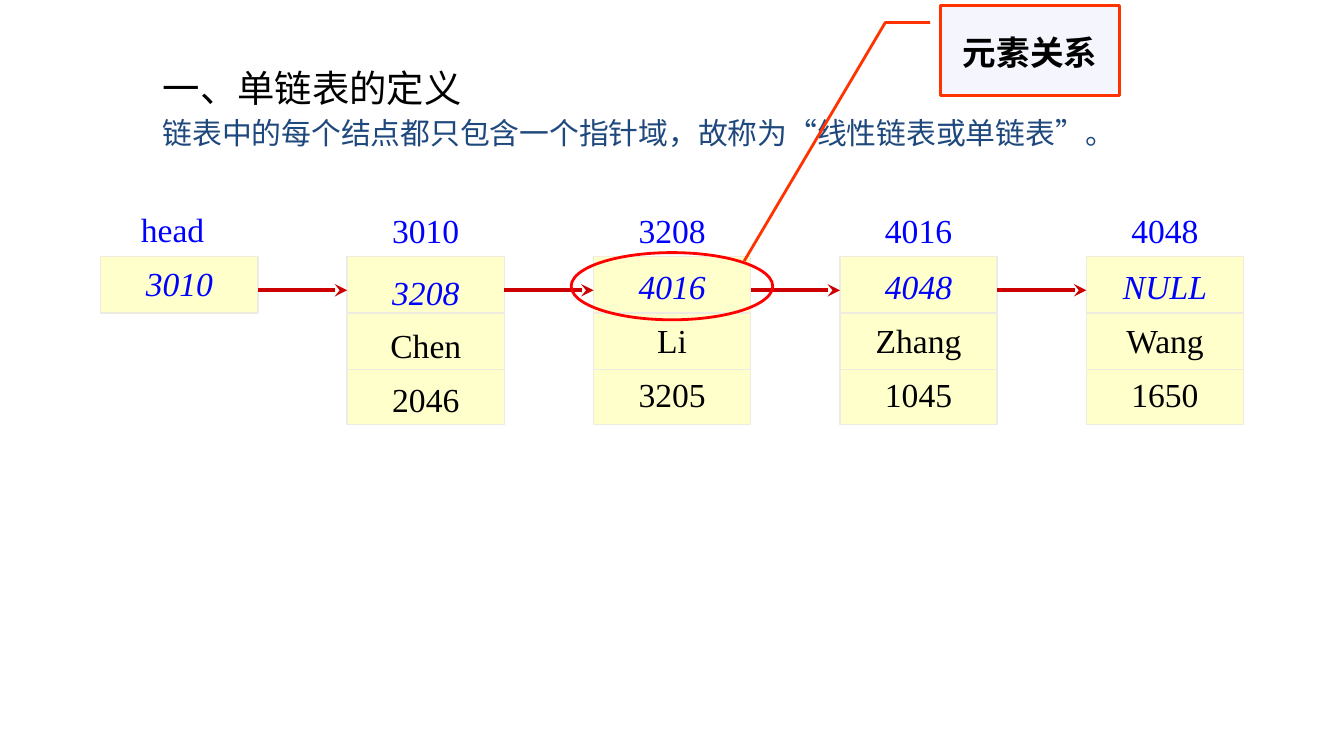
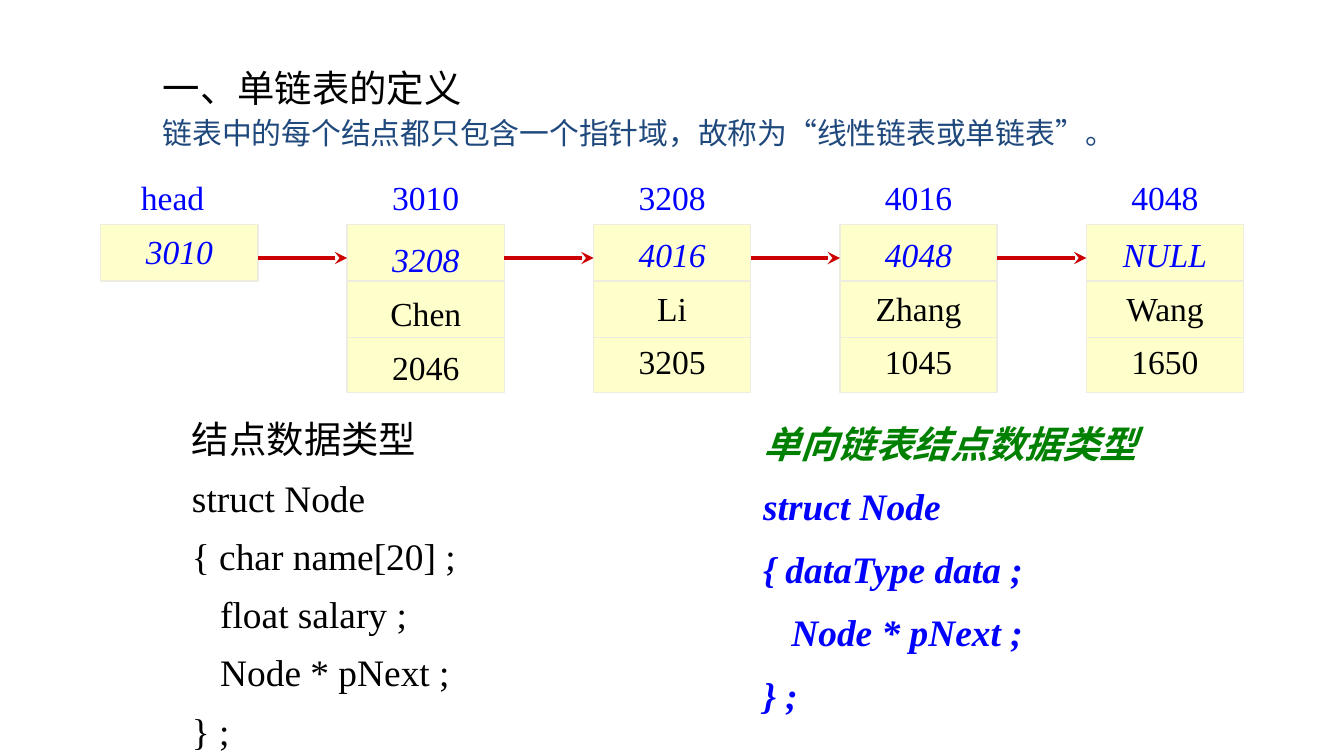
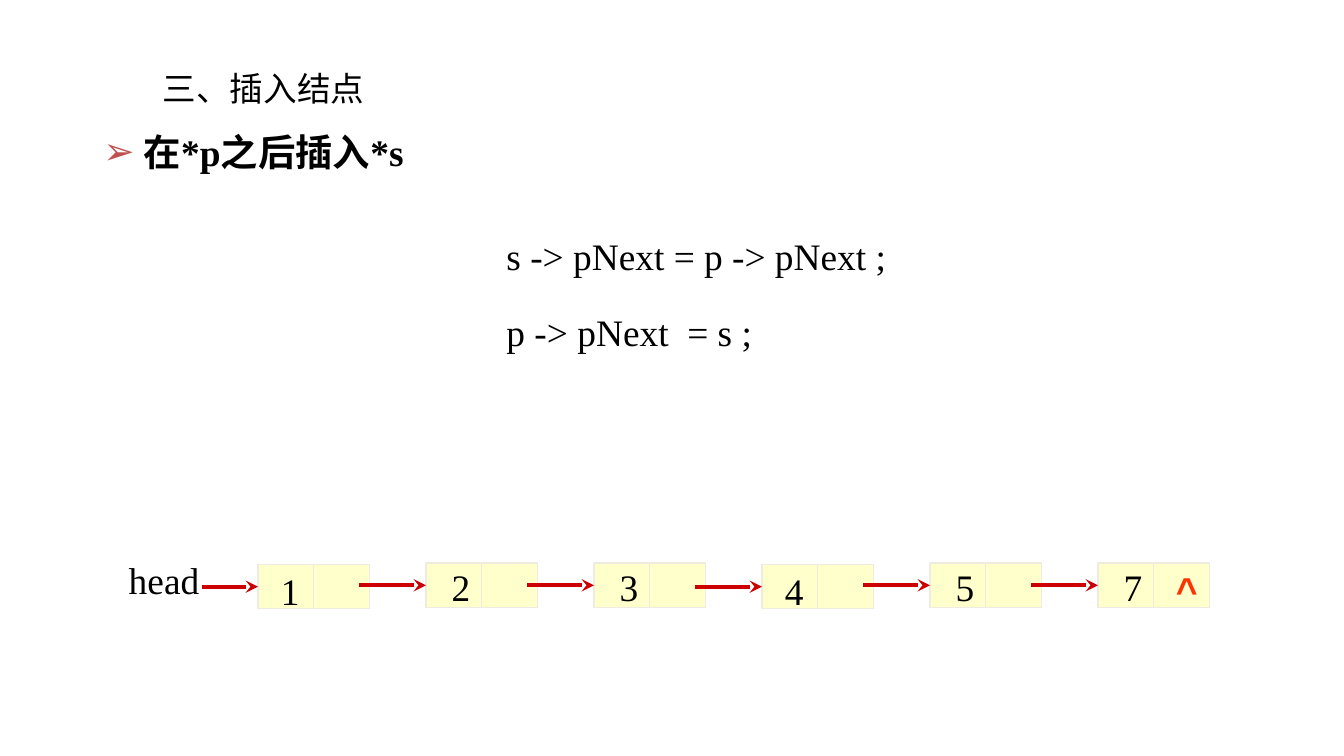
"""Build three slides that explain the singly linked list."""
from dataclasses import dataclass

from lxml.etree import SubElement
from pptx import Presentation
from pptx.dml.color import RGBColor
from pptx.enum.lang import MSO_LANGUAGE_ID
from pptx.enum.shapes import MSO_CONNECTOR, MSO_SHAPE
from pptx.enum.text import MSO_ANCHOR, MSO_AUTO_SIZE, PP_ALIGN
from pptx.oxml.ns import qn
from pptx.util import Inches, Pt


@dataclass(frozen=True)
class Theme:
    """Colours, fonts and type sizes of the deck."""
    text: str = "000000"
    subtitle: str = "1F497D"
    pointer: str = "0000FF"
    cell: str = "FFFFCC"
    border: str = "EEECE1"
    arrow: str = "CC0000"
    ring: str = "FF0000"
    callout: str = "FF3300"
    callout_fill: str = "F5F6FD"
    bullet: str = "C0504D"
    generic: str = "008000"
    heading_font: str = "Calibri"
    body_font: str = "Times New Roman"
    symbol_font: str = "Arial"
    large: int = 20
    medium: int = 18
    small: int = 16


THEME = Theme()
CENTER = PP_ALIGN.CENTER
MIDDLE = MSO_ANCHOR.MIDDLE
HEADING = "一、单链表的定义"
SUBTITLE = "链表中的每个结点都只包含一个指针域，故称为“线性链表或单链表”。"

NODES = [
    ("3010", ["3208", "Chen", "2046"], 0.04),
    ("3208", ["4016", "Li", "3205"], 0),
    ("4016", ["4048", "Zhang", "1045"], 0),
    ("4048", ["NULL", "Wang", "1650"], 0),
]
NODE_LEFT, NODE_PITCH = 0.75, 11 / 6
NODE_WIDTH, ROW_HEIGHT = 1.17, 0.42
BOX_WIDTH, BOX_HEIGHT = 0.83, 0.33

NODE_CODE = [
    "结点数据类型", "struct Node", "{ char name[20] ;",
    ("float salary ;", {"margin": 0.21}),
    ("Node * pNext ;", {"margin": 0.21}), "} ;",
]
GENERIC_CODE = [
    ("单向链表结点数据类型", {"color": THEME.generic}),
    "struct Node", "{ dataType data ;",
    ("Node * pNext ;", {"margin": 0.21}), "} ;",
]


def rgb(color):
    """Turn a hex string into a colour."""
    return RGBColor.from_string(color)


def write_paragraph(p, text, size=THEME.large, font=THEME.body_font, color=THEME.text,
                    bold=False, italic=False, align=PP_ALIGN.LEFT, spacing=None,
                    before=None, margin=None, indent=0, bullet=None):
    """Write text into a paragraph with the given format."""
    p.alignment = align
    if spacing:
        p.line_spacing = spacing
    if before is not None:
        p.space_before = Pt(before)
    pPr = p._p.get_or_add_pPr()
    if margin is not None:
        pPr.set("marL", str(Inches(margin)))
        pPr.set("indent", str(Inches(indent)))
    if bullet:
        clr = SubElement(pPr, qn("a:buClr"))
        SubElement(clr, qn("a:srgbClr"), val=THEME.bullet)
        SubElement(pPr, qn("a:buFont"), typeface=THEME.symbol_font)
        SubElement(pPr, qn("a:buChar"), char=bullet)
    elif bullet == "":
        SubElement(pPr, qn("a:buNone"))
    r = p.add_run()
    r.text = text
    f = r.font
    f.size, f.name, f.bold, f.italic = Pt(size), font, bold, italic
    f.color.rgb = rgb(color)
    f.language_id = MSO_LANGUAGE_ID.SIMPLIFIED_CHINESE


class Deck:
    """Hold the presentation, its theme and the current slide."""

    def __init__(self, theme):
        """Open a widescreen presentation."""
        self.theme = theme
        self.prs = Presentation()
        self.prs.slide_width, self.prs.slide_height = Inches(10), Inches(10 * 9 / 16)
        self.slide = None

    def add_slide(self):
        """Start a slide that has a title and a body."""
        self.slide = self.prs.slides.add_slide(self.prs.slide_layouts[1])

    def fill_frame(self, tf, lines, anchor=MSO_ANCHOR.TOP, wrap=True, **fmt):
        """Fill a text frame with lines that share a format."""
        tf.word_wrap = wrap
        tf.auto_size = MSO_AUTO_SIZE.NONE
        tf.vertical_anchor = anchor
        for i, line in enumerate(lines):
            text, extra = (line, {}) if isinstance(line, str) else line
            p = tf.add_paragraph() if i else tf.paragraphs[0]
            write_paragraph(p, text, **{**fmt, **extra})

    def place(self, idx, left, top, width, height, lines, **fmt):
        """Move a placeholder and fill it."""
        sp = self.slide.placeholders[idx]
        sp.left, sp.top = Inches(left), Inches(top)
        sp.width, sp.height = Inches(width), Inches(height)
        self.fill_frame(sp.text_frame, lines, **fmt)

    def title(self, text, width=8.34, size=THEME.large):
        """Put the heading into the title placeholder."""
        self.place(0, 1.04, 0.44, width, 0.43, [text], anchor=MIDDLE, size=size,
                   font=self.theme.heading_font, margin=0, indent=0.07)

    def text(self, left, top, width, height, lines, **fmt):
        """Add a text box."""
        tb = self.slide.shapes.add_textbox(
            Inches(left), Inches(top), Inches(width), Inches(height))
        self.fill_frame(tb.text_frame, lines, **fmt)

    def shape(self, kind, left, top, width, height, line, fill=None, weight=0.75):
        """Add an outlined preset shape."""
        sp = self.slide.shapes.add_shape(
            kind, Inches(left), Inches(top), Inches(width), Inches(height))
        sp.shadow.inherit = False
        if fill:
            sp.fill.solid()
            sp.fill.fore_color.rgb = rgb(fill)
        else:
            sp.fill.background()
        sp.line.color.rgb = rgb(line)
        sp.line.width = Pt(weight)
        return sp

    def cell(self, left, top, width, height):
        """Add a filled node rectangle."""
        return self.shape(MSO_SHAPE.RECTANGLE, left, top, width, height,
                          self.theme.border, self.theme.cell)

    def line(self, x1, y1, x2, y2, color=THEME.border, weight=0.75):
        """Add a straight line."""
        cx = self.slide.shapes.add_connector(
            MSO_CONNECTOR.STRAIGHT, Inches(x1), Inches(y1), Inches(x2), Inches(y2))
        cx.line.color.rgb = rgb(color)
        cx.line.width = Pt(weight)
        SubElement(cx._element.spPr, qn("a:effectLst"))
        return cx

    def arrow(self, x1, x2, y, target=None):
        """Add a level pointer arrow, joined to the target's left side if given."""
        cx = self.line(x1, y, x2, y, self.theme.arrow, 2.25)
        SubElement(cx.line._get_or_add_ln(), qn("a:tailEnd"), type="stealth")
        if target is not None:
            cx.end_connect(target, 1)

    def linked_list(self, top):
        """Draw the head pointer and the chain of records."""
        label = dict(size=self.theme.medium, color=self.theme.pointer, anchor=MIDDLE)
        self.cell(NODE_LEFT, top, NODE_WIDTH, ROW_HEIGHT)
        self.text(NODE_LEFT + 0.17, top, 0.83, 0.4, ["3010"],
                  align=CENTER, italic=True, **label)
        self.text(0.95, top - 0.45, 0.67, 0.45, ["head"], wrap=False,
                  spacing=1.15, **label)
        for i, (address, (link, *fields), shift) in enumerate(NODES, 1):
            left = NODE_LEFT + i * NODE_PITCH
            right = left + NODE_WIDTH
            self.cell(left, top, NODE_WIDTH, 1.25)
            for row in (1, 2):
                y = top + row * ROW_HEIGHT
                self.line(left, y, right, y)
            lines = [(link, {"color": self.theme.pointer, "italic": True}), *fields]
            self.text(left, top + shift, NODE_WIDTH, 1.24, lines, anchor=MIDDLE,
                      align=CENTER, size=self.theme.medium, before=7.2)
            self.text(left + 0.17, top - 0.4, 0.83, 0.4, [address],
                      align=CENTER, **label)
            self.arrow(right - NODE_PITCH, left, top + 0.25)

    def definition(self, list_top):
        """Start a slide with the definition and its linked list."""
        self.add_slide()
        self.title(HEADING)
        self.place(1, 1.04, 0.77, 8.34, 0.43, [SUBTITLE], anchor=MIDDLE,
                   size=self.theme.small, font=self.theme.heading_font,
                   color=self.theme.subtitle, margin=0, indent=0.07, bullet="")
        self.linked_list(list_top)

    def callout(self, left, top, width, height, text, adjustments):
        """Add a callout with a bent leader."""
        sp = self.shape(MSO_SHAPE.LINE_CALLOUT_2, left, top, width, height,
                        self.theme.callout, self.theme.callout_fill, 1.5)
        for i, value in enumerate(adjustments):
            sp.adjustments[i] = value
        self.fill_frame(sp.text_frame, [text], align=CENTER, bold=True,
                        size=self.theme.medium, spacing=1.5)

    def number_chain(self, values, left=1.92, pitch=1.25):
        """Draw a chain of two-part nodes that starts at head."""
        self.text(0.86, 4.1, 1, 0.43, ["head"], anchor=MIDDLE, wrap=False)
        for i, value in enumerate(values):
            x = left + i * pitch
            top, dx, dy = (4.2, 0.07, -0.02) if i % 3 == 0 else (4.19, 0.09, -0.04)
            node = self.cell(x, top, BOX_WIDTH, BOX_HEIGHT)
            middle = x + BOX_WIDTH / 2
            self.line(middle, top, middle, top + BOX_HEIGHT)
            self.text(x + dx, top + dy, 0.34, 0.43, [value], anchor=MIDDLE,
                      wrap=False, align=CENTER)
            self.arrow(x - (0.5 if i else 0.42), x, top + BOX_HEIGHT / 2, node)
        self.text(8.65, 4.17, 0.36, 0.43, ["^"], anchor=MIDDLE, wrap=False,
                  align=CENTER, font=self.theme.symbol_font,
                  color=self.theme.callout, bold=True)


def main():
    """Build and save the deck."""
    deck = Deck(THEME)

    deck.definition(1.91)
    deck.shape(MSO_SHAPE.OVAL, 4.25, 1.88, 1.5, 0.5, THEME.ring, weight=1.5)
    deck.callout(7, 0.04, 1.33, 0.67, "元素关系",
                 (0.19, -0.06, 0.19, -0.31, 2.84, -1.1))

    deck.definition(1.67)
    deck.text(1.33, 2.95, 3.02, 2.7, NODE_CODE, spacing=1.3)
    deck.text(5.58, 2.95, 3.02, 2.44, GENERIC_CODE, spacing=1.4,
              color=THEME.pointer, bold=True, italic=True)

    deck.add_slide()
    deck.title("三、插入结点", 2.95, THEME.medium)
    deck.place(1, 0.67, 0.78, 8.75, 0.57, ["在*p之后插入*s"], bold=True,
               spacing=1.4, margin=0.3, indent=-0.3, bullet="➢")
    deck.text(3.67, 1.48, 3.77, 1.17, ["s -> pNext = p -> pNext ;", "p -> pNext  = s ;"],
              anchor=MIDDLE, spacing=1.7)
    deck.number_chain("123457")

    deck.prs.save("out.pptx")


if __name__ == "__main__":
    main()
